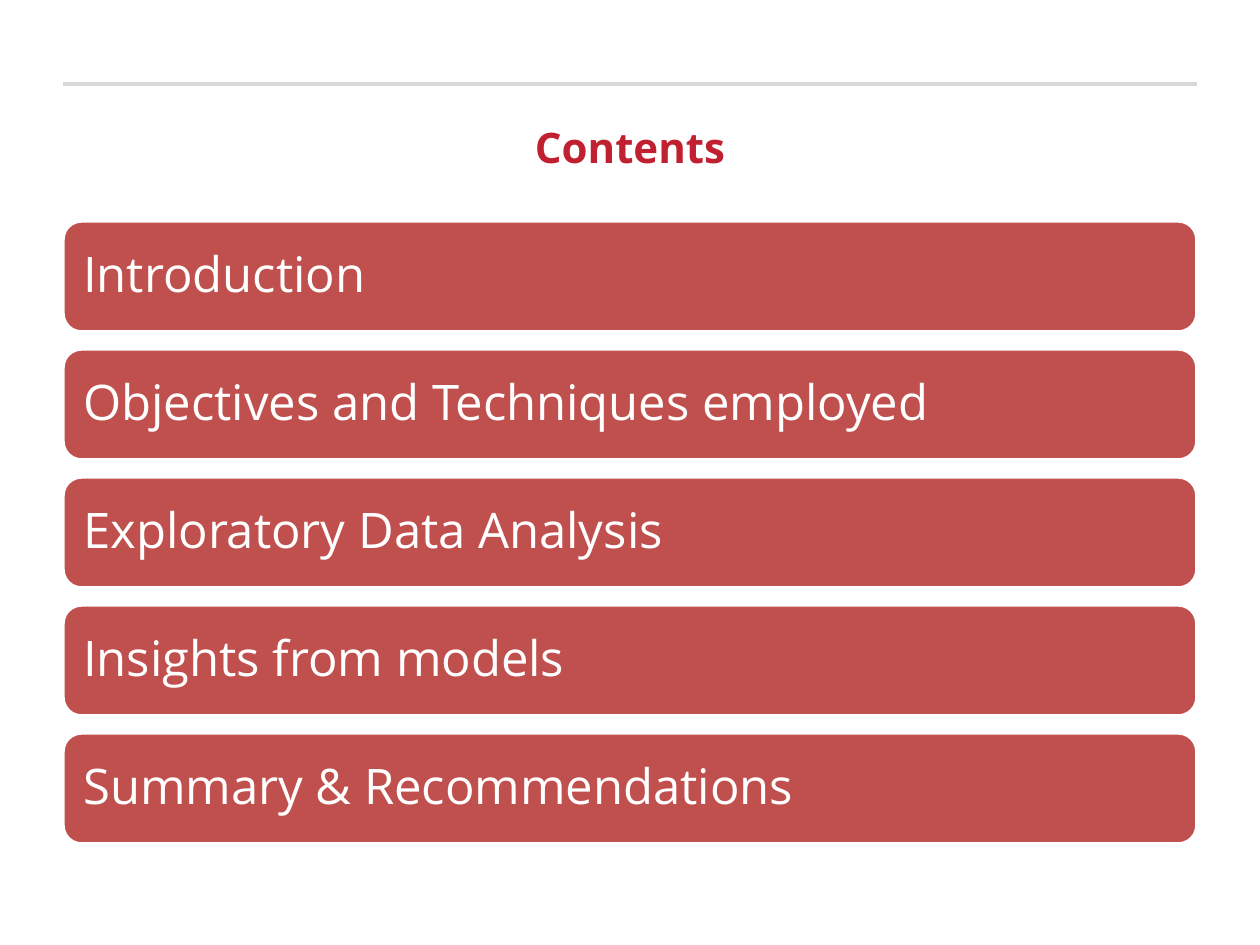
from lxml import etree
from pptx import Presentation
from pptx.dml.color import RGBColor
from pptx.enum.shapes import MSO_CONNECTOR, MSO_SHAPE
from pptx.enum.text import MSO_ANCHOR, PP_ALIGN
from pptx.oxml.ns import qn
from pptx.util import Pt

PX = 914400 // 126  # EMU in one px
ROUNDED = MSO_SHAPE.ROUNDED_RECTANGLE
STRAIGHT = MSO_CONNECTOR.STRAIGHT
TOP, MIDDLE = MSO_ANCHOR.TOP, MSO_ANCHOR.MIDDLE
LEFT, CENTER = PP_ALIGN.LEFT, PP_ALIGN.CENTER

WHITE = RGBColor(0xFF, 0xFF, 0xFF)
GREY = RGBColor(0xD8, 0xD8, 0xD8)
BRICK = RGBColor(0xC0, 0x50, 0x4D)
CRIMSON = RGBColor(0xC1, 0x20, 0x30)

MARGIN, CONTENT_W = 63, 1134
BAR_TOP, BAR_H, BAR_PITCH = 221, 111, 128
TOPICS = [
    "Introduction",
    "Objectives and Techniques employed",
    "Exploratory Data Analysis",
    "Insights from models",
    "Summary & Recommendations",
]
TITLE_FONT = {"name": "Open Sans", "size": Pt(24), "bold": True}
BAR_FONT = {"name": "Open Sans", "size": Pt(28), "bold": False}


def px(*lengths):
    return [n * PX for n in lengths]


def set_text(sp, text, font, color, align, anchor, insets):
    tf = sp.text_frame
    frame = {"word_wrap": True, "vertical_anchor": anchor}
    sides = ("margin_left", "margin_top", "margin_right", "margin_bottom")
    frame.update(zip(sides, px(*insets)))
    for key, value in frame.items():
        setattr(tf, key, value)
    p = tf.paragraphs[0]
    p.alignment = align
    r = p.add_run()
    r.text = text
    for key, value in font.items():
        setattr(r.font, key, value)
    r.font.color.rgb = color
    return p


def add_rule(s, y):
    line = s.shapes.add_connector(
        STRAIGHT, *px(MARGIN, y, MARGIN + CONTENT_W, y))
    line.line.color.rgb = GREY
    line.line.width = Pt(2)
    etree.SubElement(line._element.spPr, qn("a:effectLst"))


def set_title(s, text):
    title = s.shapes.title
    title.left, title.top, title.width, title.height = px(
        MARGIN, 116, CONTENT_W, 105)
    set_text(title, text, TITLE_FONT, CRIMSON, CENTER, TOP, (13, 6, 13, 6))


def add_bar(s, y, text):
    sp = s.shapes.add_shape(ROUNDED, *px(MARGIN, y, CONTENT_W, BAR_H))
    sp.shadow.inherit = False
    sp.fill.solid()
    sp.fill.fore_color.rgb = BRICK
    sp.line.color.rgb = WHITE
    sp.line.width = Pt(2)
    p = set_text(sp, text, BAR_FONT, WHITE, LEFT, MIDDLE, (15, 15, 15, 15))
    p.line_spacing = 0.9


def main():
    prs = Presentation()
    prs.slide_width, prs.slide_height = px(1260, 945)
    s = prs.slides.add_slide(prs.slide_layouts[5])

    # Heading
    add_rule(s, 84)
    set_title(s, "Contents")

    # One bar for each topic
    for i, topic in enumerate(TOPICS):
        add_bar(s, BAR_TOP + i * BAR_PITCH, topic)

    prs.save("out.pptx")


if __name__ == "__main__":
    main()
